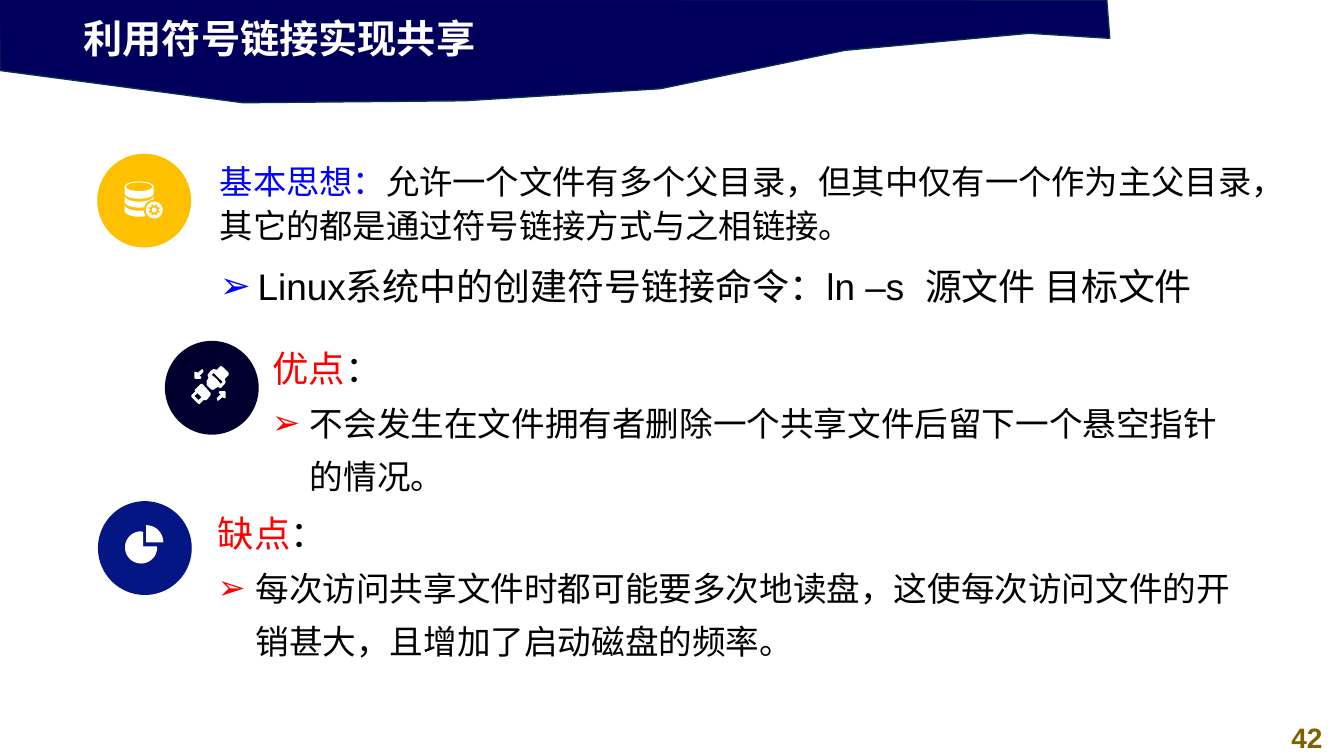
from math import cos, radians, sin

from lxml.etree import SubElement
from pptx import Presentation
from pptx.dml.color import RGBColor
from pptx.enum.shapes import MSO_SHAPE
from pptx.enum.text import MSO_ANCHOR, MSO_AUTO_SIZE, PP_ALIGN
from pptx.oxml.ns import qn
from pptx.util import Pt

COLOURS = {
    "navy": "00005C", "edge": "05304F", "white": "FFFFFF", "black": "000000",
    "amber": "FFC000", "midnight": "00002E", "royal": "031684",
    "blue": "0000FF", "red": "FF0000", "olive": "806000",
}
BANNER = [(-0.7, -0.7), (0, 50.4), (173.5, 73.4), (331.9, 72), (471.6, 63.4),
          (603.4, 36), (735.1, 23.8), (792.7, 27.4), (790.6, 0)]
LOWER_PLUG = [(-6.8, -0.7), (-5.4, -0.7), (0.4, 5.8), (0.4, 7.2), (-2.5, 10.8),
              (-4.7, 10.8), (-7.6, 13.7), (-9, 13), (-13.3, 8.6), (-13.3, 7.2),
              (-10.4, 4.3), (-11.2, 3.6), (-10.4, 2.9)]
LOWER_HOLE = [(-9, 5.8), (-11.2, 7.9), (-8.3, 10.8), (-6.1, 8.6)]
UPPER_PLUG = [(7.6, -13.7), (9, -13), (13.3, -8.6), (13.3, -7.2), (10.4, -4.3),
              (11.2, -2.2), (10.4, -0.7), (7.6, 2.2), (5.4, 1.4), (3.2, 2.9),
              (1.8, 3.6), (0.4, 2.9), (-2.5, 0), (-2.5, -2.9), (-1.1, -5),
              (-1.8, -7.2), (0.4, -10.1), (2.5, -11.5), (4.7, -10.8)]
UPPER_HOLE = [(2.5, -8.6), (1.1, -7.2), (4.7, -4.3), (7.6, -0.7), (9, -2.2)]
ARROW = [(-5.4, -11.5), (-4.7, -9.4), (-7.6, -6.5), (-6.1, -5.8), (-6.8, -4.3),
         (-10.4, -4.3), (-11.2, -5), (-11.2, -9.4), (-9.7, -9.4), (-9, -8.6)]


def colour(name):
    """Return the named colour."""
    return RGBColor.from_string(COLOURS[name])


def paint(shape, fill, line=None):
    """Give a shape a flat fill and an optional one-point outline."""
    shape.shadow.inherit = False
    shape.fill.solid()
    shape.fill.fore_color.rgb = colour(fill)
    if line:
        shape.line.color.rgb = colour(line)
        shape.line.width = Pt(1)
    else:
        shape.line.fill.background()


def add_disc(page, centre_x, centre_y, radius, fill):
    """Draw a filled circle around a centre."""
    disc = page.shapes.add_shape(
        MSO_SHAPE.OVAL, Pt(centre_x - radius), Pt(centre_y - radius),
        Pt(2 * radius), Pt(2 * radius))
    paint(disc, fill)


def add_outline(page, contours, fill, line=None, origin=(0, 0)):
    """Draw closed contours, given in points from an origin, as one shape."""
    grid = 100
    scaled = [[(round((x + origin[0]) * grid), round((y + origin[1]) * grid))
               for x, y in contour] for contour in contours]
    builder = page.shapes.build_freeform(*scaled[0][0], scale=Pt(1) / grid)
    for index, contour in enumerate(scaled):
        if index:
            builder.move_to(*contour[0])
        builder.add_line_segments(contour[1:], close=True)
    outline = builder.convert_to_shape()
    paint(outline, fill, line)
    return outline


def arc(centre_x, centre_y, radius_x, radius_y, start, end):
    """Return points along an elliptical arc, with clockwise degrees."""
    steps = max(abs(end - start) // 9, 1)
    angles = [radians(start + (end - start) * i / steps) for i in range(steps + 1)]
    return [(centre_x + radius_x * cos(a), centre_y + radius_y * sin(a)) for a in angles]


def add_database_icon(page):
    """Draw the stacked database with its gear."""
    middle, radius = 99.4, 10.4
    lid = arc(middle, 133.4, radius, 3.8, 180, 360) + arc(middle, 138, radius, 4, 0, 180)
    bands = [arc(middle, top, radius, 4.3, 180, 0) + arc(middle, top + 4.3, radius, 4.3, 0, 180)
             for top in (139.7, 146.2)]
    add_outline(page, [lid, arc(middle, 133.4, 9.4, 3.1, 0, 360), *bands], "white")
    gear_x, gear_y = 110.2, 150
    add_disc(page, gear_x, gear_y, 7.4, "amber")
    teeth = []
    for tooth in range(8):
        for radius, offset in ((3, -17), (4.1, -10), (4.1, 10), (3, 17)):
            angle = radians(22.5 + 45 * tooth + offset)
            teeth.append((gear_x + radius * cos(angle), gear_y + radius * sin(angle)))
    rings = [arc(gear_x, gear_y, size, size, 0, 360) for size in (6, 1.7)]
    add_outline(page, [rings[0], teeth, rings[1]], "white")


def add_plug_icon(page):
    """Draw the two plugs with their opposite arrows."""
    opposite = [(-x, -y) for x, y in ARROW]
    add_outline(page, [LOWER_PLUG, LOWER_HOLE, UPPER_PLUG, UPPER_HOLE, ARROW, opposite],
                "white", origin=(150.1, 275))


def add_pie_icon(page):
    """Draw the pie with its separate quarter."""
    body = arc(100.8, 391, 11.5, 11.5, 0, 270) + [(102.2, 380), (102.2, 390.2), (112, 390.2)]
    quarter = arc(104.4, 387.4, 12.3, 12.3, 270, 360) + [(104.4, 387.4)]
    add_outline(page, [body, quarter], "white")


def place(box, left, top, width, height):
    """Move a text holder and set up its frame."""
    values = {"left": left, "top": top, "width": width, "height": height}
    for name, value in values.items():
        setattr(box, name, Pt(value))
    frame = box.text_frame
    settings = {"word_wrap": True, "auto_size": MSO_AUTO_SIZE.NONE,
                "vertical_anchor": MSO_ANCHOR.MIDDLE}
    for name, value in settings.items():
        setattr(frame, name, value)
    return frame


def set_bullet(para, tint):
    """Give a paragraph an arrow bullet, or none when there is no tint."""
    properties = para._p.get_or_add_pPr()
    indent = Pt(27) if tint else 0
    properties.set("marL", str(indent))
    properties.set("indent", str(-indent))
    if tint:
        holder = SubElement(properties, qn("a:buClr"))
        SubElement(holder, qn("a:srgbClr"), val=COLOURS[tint])
        SubElement(properties, qn("a:buFont"), typeface="Arial")
        SubElement(properties, qn("a:buChar"), char="➢")
    else:
        SubElement(properties, qn("a:buNone"))


def write(para, spans, size, spacing=1.0, bullet=None, bold=False, align=PP_ALIGN.LEFT):
    """Fill a paragraph with coloured spans of text."""
    set_bullet(para, bullet)
    layout = {"alignment": align, "line_spacing": spacing,
              "space_before": Pt(0), "space_after": Pt(0)}
    for name, value in layout.items():
        setattr(para, name, value)
    for text, tint in spans:
        span = para.add_run()
        span.text = text
        for name, value in {"name": "Arial", "size": Pt(size), "bold": bold}.items():
            setattr(span.font, name, value)
        span.font.color.rgb = colour(tint)


def write_topic(box, area, heading, point):
    """Write a heading paragraph and its bulleted point."""
    frame = place(box, *area)
    write(frame.paragraphs[0], **heading)
    write(frame.add_paragraph(), **point)


def write_verdict(box, area, name, text):
    """Write a red heading with one red-bulleted point."""
    write_topic(box, area,
                {"spans": [(name, "red"), ("：", "black")], "size": 26},
                {"spans": [(text, "black")], "size": 24, "spacing": 1.32, "bullet": "red"})


def main():
    """Build the slide and save it."""
    deck = Presentation()
    deck.slide_width, deck.slide_height = Pt(960), Pt(540)
    page = deck.slides.add_slide(deck.slide_layouts.get_by_name("Comparison"))
    title, idea, merits, faults, spare = page.placeholders
    spare.element.getparent().remove(spare.element)

    banner = add_outline(page, [BANNER], "navy", "edge").element
    banner.getparent().insert(2, banner)
    write(place(title, 52.6, 6.5, 553, 41).paragraphs[0],
          [("利用符号链接实现共享", "white")], 28, bold=True)
    number = page.shapes.add_textbox(0, 0, 0, 0)
    write(place(number, 907.2, 510.5, 52.6, 31.7).paragraphs[0],
          [("42", "olive")], 20, bold=True, align=PP_ALIGN.CENTER)

    for x, y, fill in ((103, 143.3, "amber"), (151.3, 277, "midnight"), (103.5, 391.5, "royal")):
        add_disc(page, x, y, 33.5, fill)
    for add_icon in (add_database_icon, add_plug_icon, add_pie_icon):
        add_icon(page)

    write_topic(
        idea, (149.8, 99.4, 766, 132.5),
        {"spans": [("基本思想：", "blue"),
                   ("允许一个文件有多个父目录，但其中仅有一个作为主父目录，"
                    "其它的都是通过符号链接方式与之相链接。", "black")],
         "size": 23.8, "spacing": 1.12},
        {"spans": [("Linux系统中的创建符号链接命令：ln –s  源文件 目标文件", "black")],
         "size": 26.4, "spacing": 1.4, "bullet": "blue"})
    write_verdict(merits, (187.2, 234.7, 711.4, 132.5), "优点",
                  "不会发生在文件拥有者删除一个共享文件后留下一个悬空指针的情况。")
    write_verdict(faults, (148.3, 355.7, 750.2, 126), "缺点",
                  "每次访问共享文件时都可能要多次地读盘，这使每次访问文件的开销甚大，"
                  "且增加了启动磁盘的频率。")
    deck.save("out.pptx")


if __name__ == "__main__":
    main()
